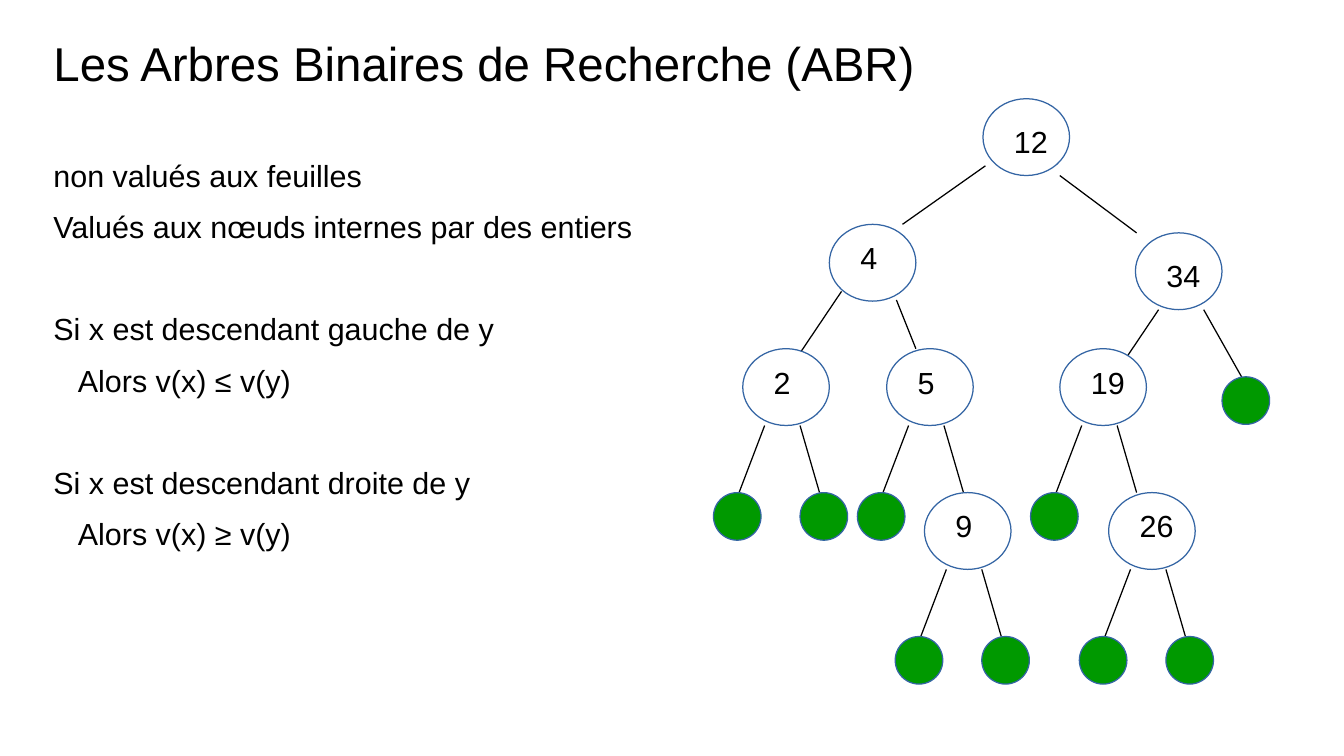
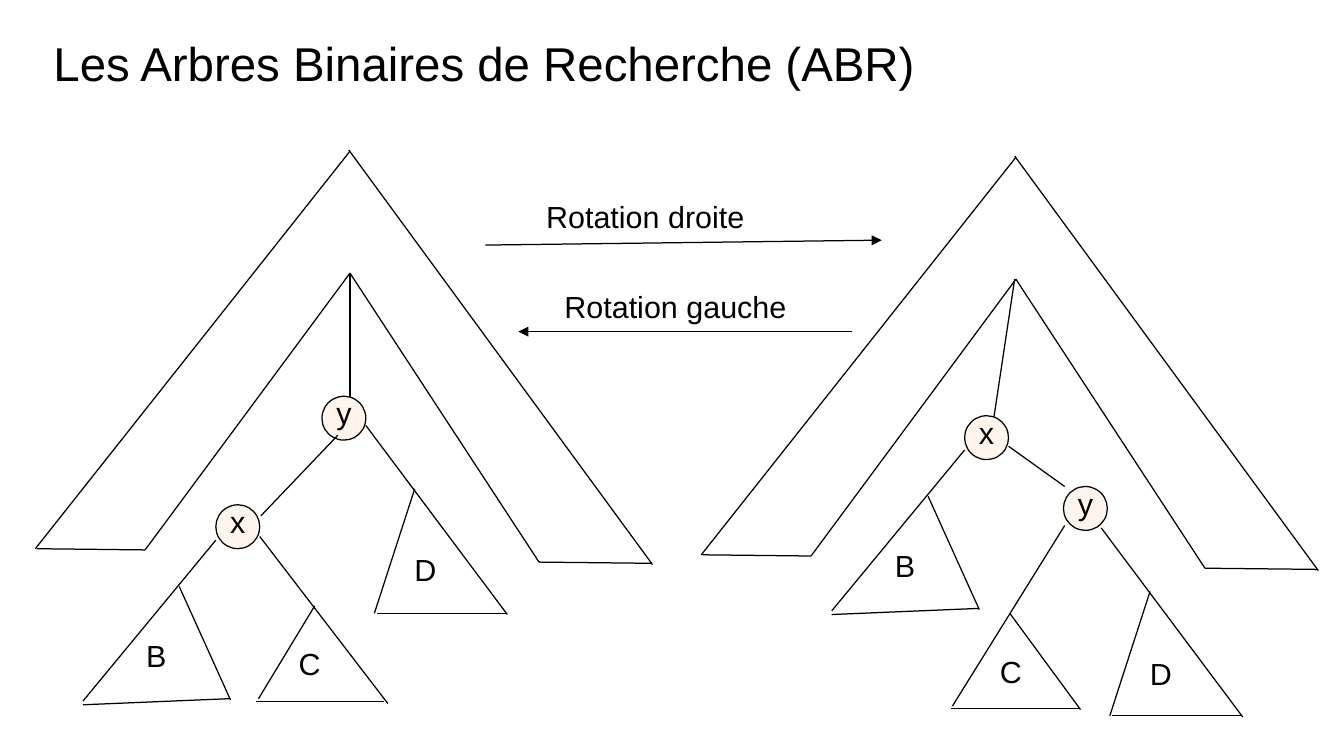
"""Two slides on binary search trees: an example tree and its rotations."""
from lxml.etree import SubElement
from pptx import Presentation
from pptx.dml.color import RGBColor
from pptx.enum.shapes import MSO_CONNECTOR, MSO_SHAPE
from pptx.enum.text import MSO_ANCHOR, PP_ALIGN
from pptx.oxml.ns import qn
from pptx.util import Pt

PX = 9144
WIDE, HIGH = 1102, 620
FONT = "Arial"
BLACK, WHITE, GREEN = "000000", "FFFFFF", "009900"
BLUE, CREAM = "3465A4", "FFF5ED"
TITLE = "Les Arbres Binaires de Recherche (ABR)"

LEAD = 30.2
RULES = [
    ("non valués aux feuilles", 0, 0),
    ("Valués aux nœuds internes par des entiers", 0, 0),
    ("Si x est descendant gauche de y", 0, LEAD),
    ("Alors v(x) ≤ v(y)", 20, 0),
    ("Si x est descendant droite de y", 0, LEAD),
    ("Alors v(x) ≥ v(y)", 20, 0),
]

NODE_W, NODE_H, LEAF, STEP = 71, 63, 39, 118
TOPS = [("12", 806, 81, 11), ("4", 680, 184, 3), ("34", 931, 191, 11)]
LOWS = [
    ("2", 609, 286, "LR"),
    ("5", 727, 286, "L"),
    ("19", 869, 286, "L"),
    ("9", 758, 404, "LR"),
    ("26", 909, 404, "LR"),
]
LONE = (1002, 309)
LINKS = [
    (808, 136, 740, 184), (869, 144, 932, 191),
    (690, 239, 653, 294), (735, 246, 751, 286),
    (950, 254, 913, 309), (987, 254, 1018, 309),
]
SIDES = {"L": (18, -3, -24), "R": (47, 63, 47)}

DISK = 36
FRAME = [
    (0, 0, -258, 326), (248, 339, -1, -1), (-257, 326, -168, 327),
    (0, 100, -168, 327), (155, 337, 247, 338), (0, 100, 155, 337),
]
TREES = {
    "B": [(-79, 94, 30, -38), (0, 0, 42, 93), (-79, 97, 41, 92)],
    "C": [(-48, 78, 57, 78)],
    "D": [(76, 103, -40, -52), (0, 0, -33, 102), (-31, 102, 75, 102)],
}
SCENES = [
    {
        "peak": (287, 124),
        "disks": [("y", 264, 325), ("x", 177, 414)],
        "trees": [("B", 147, 481, 110, 520), ("C", 258, 497, 235, 527),
                  ("D", 340, 401, 330, 450)],
        "links": [(287, 326, 287, 224), (214, 423, 277, 357),
                  (318, 577, 213, 440), (258, 497, 212, 573)],
    },
    {
        "peak": (833, 129),
        "disks": [("x", 791, 341), ("y", 872, 399)],
        "trees": [("B", 761, 407, 724, 446), ("C", 828, 503, 810, 533),
                  ("D", 943, 485, 933, 535)],
        "links": [(815, 342, 832, 229), (873, 399, 827, 366),
                  (873, 431, 781, 579), (886, 582, 828, 503)],
    },
]
TURNS = [
    ("Rotation droite", 438, 160, (398, 201, 723, 197)),
    ("Rotation gauche", 453, 234, (699, 272, 425, 272)),
]


def emu(*vals):
    """Turn px into EMU."""
    return [v * PX for v in vals]


def ink(tone):
    """Turn a hex string into a colour."""
    return RGBColor.from_string(tone)


def write(shape, lines, size=18, lead=1.0, pad=(10, 5, 10, 5),
          align=PP_ALIGN.LEFT, anchor=MSO_ANCHOR.TOP):
    """Fill a shape with (text, indent px, space before pt) lines."""
    frame = shape.text_frame
    frame.word_wrap = True
    frame.vertical_anchor = anchor
    (frame.margin_left, frame.margin_top,
     frame.margin_right, frame.margin_bottom) = emu(*pad)
    for i, (text, dent, gap) in enumerate(lines):
        para = frame.add_paragraph() if i else frame.paragraphs[0]
        para.alignment = align
        para.line_spacing = lead
        para.space_before = Pt(gap)
        if dent:
            para._p.get_or_add_pPr().set("marL", str(dent * PX))
        run = para.add_run()
        run.text = text
        run.font.name = FONT
        run.font.size = Pt(size)
        run.font.color.rgb = ink(BLACK)


def label(slide, text, x, y, w, h, **form):
    """Add a text box of one line or a list of lines."""
    lines = [(text, 0, 0)] if isinstance(text, str) else text
    write(slide.shapes.add_textbox(*emu(x, y, w, h)), lines, **form)


def oval(slide, x, y, w, h, fill, edge):
    """Add an ellipse."""
    shape = slide.shapes.add_shape(MSO_SHAPE.OVAL, *emu(x, y, w, h))
    shape.shadow.inherit = False
    shape.fill.solid()
    shape.fill.fore_color.rgb = ink(fill)
    shape.line.color.rgb = ink(edge)
    shape.line.width = Pt(0.75)
    return shape


def link(slide, ends, arrow=False):
    """Add a thin black line, with an arrowhead if asked."""
    line = slide.shapes.add_connector(MSO_CONNECTOR.STRAIGHT, *emu(*ends))
    line.line.color.rgb = ink(BLACK)
    line.line.width = Pt(0.75)
    if arrow:
        SubElement(line.line._get_or_add_ln(), qn("a:tailEnd"), type="triangle")
    SubElement(line._element.spPr, qn("a:effectLst"))


def sketch(slide, x, y, lines):
    """Add lines given relative to the point x, y."""
    for x1, y1, x2, y2 in lines:
        link(slide, (x + x1, y + y1, x + x2, y + y2))


def start(deck):
    """Add a blank slide with the shared title."""
    slide = deck.slides.add_slide(deck.slide_layouts[6])
    label(slide, TITLE, 34, 27, 787, 55, size=28, lead=0.93)
    return slide


def search(slide):
    """Draw the rules and the example tree."""
    label(slide, RULES, 34, 112, 600, 400, lead=Pt(LEAD))
    links, leaves, nodes = list(LINKS), [LONE], list(TOPS)
    for text, x, y, sides in LOWS:
        nodes.append((text, x, y, 3))
        for side, (tail, head, leaf) in SIDES.items():
            links.append((x + tail, y + NODE_H, x + head, y + STEP))
            if side in sides:
                leaves.append((x + leaf, y + STEP))
    sketch(slide, 0, 0, links)
    for x, y in leaves:
        oval(slide, x, y, LEAF, LEAF, GREEN, BLUE)
    for text, x, y, drop in nodes:
        node = oval(slide, x, y, NODE_W, NODE_H, WHITE, BLUE)
        write(node, [(text, 0, 0)], pad=(15, drop, 0, 0))


def rotate(slide):
    """Draw the tree before and after rotation."""
    for text, x, y, ends in TURNS:
        label(slide, text, x, y, 220, 38, lead=0.93)
        link(slide, ends, arrow=True)
    for scene in SCENES:
        sketch(slide, *scene["peak"], FRAME)
        for text, x, y in scene["disks"]:
            disk = oval(slide, x, y, DISK, DISK, CREAM, BLACK)
            write(disk, [(text, 0, 0)], pad=(0, 0, 0, 9),
                  align=PP_ALIGN.CENTER, anchor=MSO_ANCHOR.MIDDLE)
        for text, x, y, left, top in scene["trees"]:
            sketch(slide, x, y, TREES[text])
            label(slide, text, left, top, 46, 38, lead=0.93)
        sketch(slide, 0, 0, scene["links"])


def main():
    """Build and save the deck."""
    deck = Presentation()
    deck.slide_width, deck.slide_height = emu(WIDE, HIGH)
    search(start(deck))
    rotate(start(deck))
    deck.save("out.pptx")


if __name__ == "__main__":
    main()
